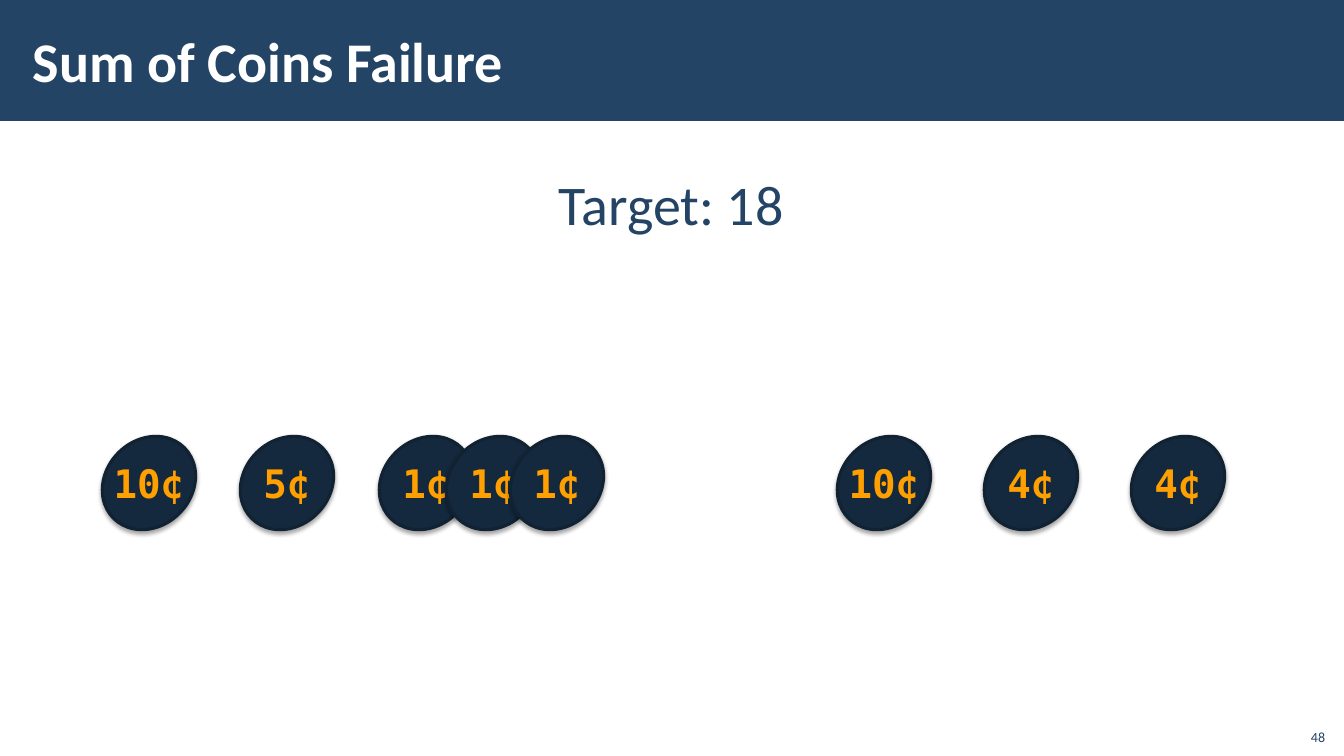
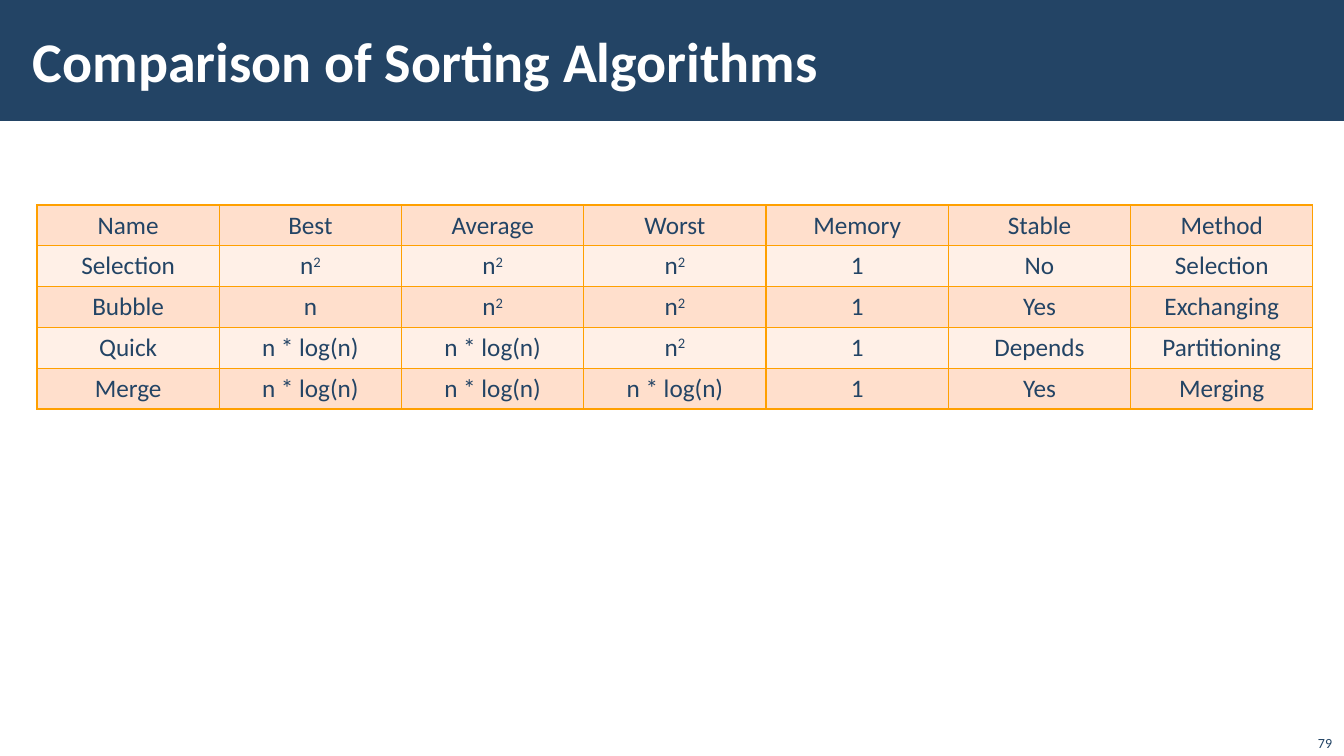
import dataclasses

import lxml.etree
import pptx
import pptx.dml.color
import pptx.enum.shapes
import pptx.enum.text
import pptx.oxml
import pptx.oxml.ns
import pptx.util

ALIGN = pptx.enum.text.PP_ALIGN
ANCHOR = pptx.enum.text.MSO_ANCHOR
qualify = pptx.oxml.ns.qn


@dataclasses.dataclass(frozen=True)
class TextStyle:
    size: int
    color: str
    font: str = "Calibri"
    bold: bool = False


@dataclasses.dataclass(frozen=True)
class Theme:
    navy: str = "234465"
    coin_fill: str = "14293D"
    coin_line: str = "112233"
    amber: str = "FFA000"
    row_fills: tuple = ("FFDFCC", "FFF0E7")
    title: TextStyle = TextStyle(40, "FFFFFF", bold=True)
    target: TextStyle = TextStyle(40, "234465")
    coin: TextStyle = TextStyle(28, "FFA000", "DejaVu Sans Mono", True)
    cell: TextStyle = TextStyle(18, "234465")
    number: TextStyle = TextStyle(10, "234465")


THEME = Theme()
PX_PER_INCH = 100.8
SLIDE_SIZE = (1344, 756)
BAND_BOX = (0, 0, 1344, 121)
TITLE_BOX = (21, 11, 1071, 98)
COIN_WIDTH, COIN_HEIGHT = 100, 86
COIN_TILT = 45

SORTING_ROWS = (
    ("Name", "Best", "Average", "Worst", "Memory", "Stable", "Method"),
    ("Selection", "n^2", "n^2", "n^2", "1", "No", "Selection"),
    ("Bubble", "n", "n^2", "n^2", "1", "Yes", "Exchanging"),
    ("Quick", "n * log(n)", "n * log(n)", "n^2", "1", "Depends", "Partitioning"),
    ("Merge", "n * log(n)", "n * log(n)", "n * log(n)", "1", "Yes", "Merging"),
)


def px(length):
    return pptx.util.Emu(round(length * 914400 / PX_PER_INCH))


def place(box):
    return [px(length) for length in box]


def rgb(color):
    return pptx.dml.color.RGBColor.from_string(color)


def paint(target, color):
    target.fill.solid()
    target.fill.fore_color.rgb = rgb(color)


def add_run(paragraph, text, style):
    run = paragraph.add_run()
    run.text = text
    run.font.name = style.font
    run.font.size = pptx.util.Pt(style.size)
    run.font.bold = style.bold
    run.font.color.rgb = rgb(style.color)
    return run


def add_label(slide, box, text, style, align=ALIGN.LEFT, anchor=ANCHOR.TOP, wrap=True):
    text_frame = slide.shapes.add_textbox(*place(box)).text_frame
    text_frame.word_wrap = wrap
    text_frame.vertical_anchor = anchor
    paragraph = text_frame.paragraphs[0]
    paragraph.alignment = align
    add_run(paragraph, text, style)


def add_band_to_layout(layout, slide):
    band = slide.shapes.add_shape(
        pptx.enum.shapes.MSO_SHAPE.RECTANGLE, *place(BAND_BOX))
    band.shadow.inherit = False
    paint(band, THEME.navy)
    band.line.fill.background()
    layout.element.cSld.spTree.insert(2, band.element)


def set_title(slide, text):
    title = slide.shapes.title
    title.left, title.top, title.width, title.height = place(TITLE_BOX)
    text_frame = title.text_frame
    text_frame.auto_size = pptx.enum.text.MSO_AUTO_SIZE.NONE
    text_frame.vertical_anchor = ANCHOR.MIDDLE
    text_frame.margin_left = text_frame.margin_right = px(12)
    text_frame.margin_top = text_frame.margin_bottom = px(4)
    paragraph = text_frame.paragraphs[0]
    paragraph.alignment = ALIGN.LEFT
    add_run(paragraph, text, THEME.title)


def add_titled_slide(presentation, layout, title, number, number_box):
    slide = presentation.slides.add_slide(layout)
    set_title(slide, title)
    add_label(slide, number_box, number, THEME.number, ALIGN.RIGHT, ANCHOR.BOTTOM)
    return slide


def add_shadow(shape):
    shape.shadow.inherit = False
    effects = shape.element.spPr.find(qualify("a:effectLst"))
    shadow = lxml.etree.SubElement(
        effects, qualify("a:outerShdw"), blurRad=str(pptx.util.Pt(3.1)),
        dist=str(pptx.util.Pt(1.8)), dir="5400000", rotWithShape="0")
    color = lxml.etree.SubElement(shadow, qualify("a:srgbClr"), val="000000")
    lxml.etree.SubElement(color, qualify("a:alpha"), val="35000")


def add_coin(slide, center_x, center_y, text):
    box = (center_x - COIN_WIDTH // 2, center_y - COIN_HEIGHT // 2,
           COIN_WIDTH, COIN_HEIGHT)
    coin = slide.shapes.add_shape(pptx.enum.shapes.MSO_SHAPE.OVAL, *place(box))
    coin.rotation = 360 - COIN_TILT
    paint(coin, THEME.coin_fill)
    coin.line.color.rgb = rgb(THEME.coin_line)
    coin.line.width = pptx.util.Pt(2.25)
    add_shadow(coin)
    text_frame = coin.text_frame
    text_frame.margin_left = text_frame.margin_right = 0
    text_frame.margin_top = text_frame.margin_bottom = 0
    text_frame.word_wrap = False
    text_frame.vertical_anchor = ANCHOR.MIDDLE
    body = coin.element.txBody.find(qualify("a:bodyPr"))
    body.set("rot", str(COIN_TILT * 60000))
    paragraph = text_frame.paragraphs[0]
    paragraph.alignment = ALIGN.CENTER
    add_run(paragraph, text, THEME.coin)


def add_coin_row(slide, left, center_y, coins):
    for offset, text in coins:
        add_coin(slide, left + offset, center_y, text)


def add_cell_border(cell):
    properties = cell._tc.get_or_add_tcPr()
    for position, side in enumerate(("a:lnL", "a:lnR", "a:lnT", "a:lnB")):
        line = lxml.etree.Element(qualify(side), w=str(pptx.util.Pt(1)))
        fill = lxml.etree.SubElement(line, qualify("a:solidFill"))
        lxml.etree.SubElement(fill, qualify("a:srgbClr"), val=THEME.amber)
        properties.insert(position, line)


def fill_cell(cell, text, color):
    paint(cell, color)
    add_cell_border(cell)
    paragraph = cell.text_frame.paragraphs[0]
    paragraph.alignment = ALIGN.CENTER
    base, _, exponent = text.partition("^")
    add_run(paragraph, base, THEME.cell)
    if exponent:
        run = add_run(paragraph, exponent, THEME.cell)
        run.font._element.set("baseline", "30000")


def add_sorting_table(slide, box, rows):
    table = slide.shapes.add_table(len(rows), len(rows[0]), *place(box)).table
    table.first_row = False
    table.horz_banding = False
    for row_index, row in enumerate(rows):
        color = THEME.row_fills[row_index % len(THEME.row_fills)]
        for column_index, text in enumerate(row):
            fill_cell(table.cell(row_index, column_index), text, color)


def build_coins_slide(presentation, layout):
    slide = add_titled_slide(
        presentation, layout, "Sum of Coins Failure", "48", (1295, 718, 40, 32))
    add_label(slide, (549, 165, 248, 78), "Target: 18", THEME.target, wrap=False)
    add_coin_row(slide, 149, 483, (
        (0, "10¢"), (138, "5¢"), (277, "1¢"), (344, "1¢"), (408, "1¢")))
    add_coin_row(slide, 884, 483, ((0, "10¢"), (147, "4¢"), (294, "4¢")))
    return slide


def build_sorting_slide(presentation, layout):
    slide = add_titled_slide(
        presentation, layout, "Comparison of Sorting Algorithms", "79",
        (1292, 724, 50, 32))
    add_sorting_table(slide, (37, 205, 1276, 204), SORTING_ROWS)


def main():
    presentation = pptx.Presentation()
    presentation.slide_width, presentation.slide_height = place(SLIDE_SIZE)
    layout = presentation.slide_layouts.get_by_name("Title Only")
    coins_slide = build_coins_slide(presentation, layout)
    add_band_to_layout(layout, coins_slide)
    build_sorting_slide(presentation, layout)
    presentation.save("out.pptx")


if __name__ == "__main__":
    main()
